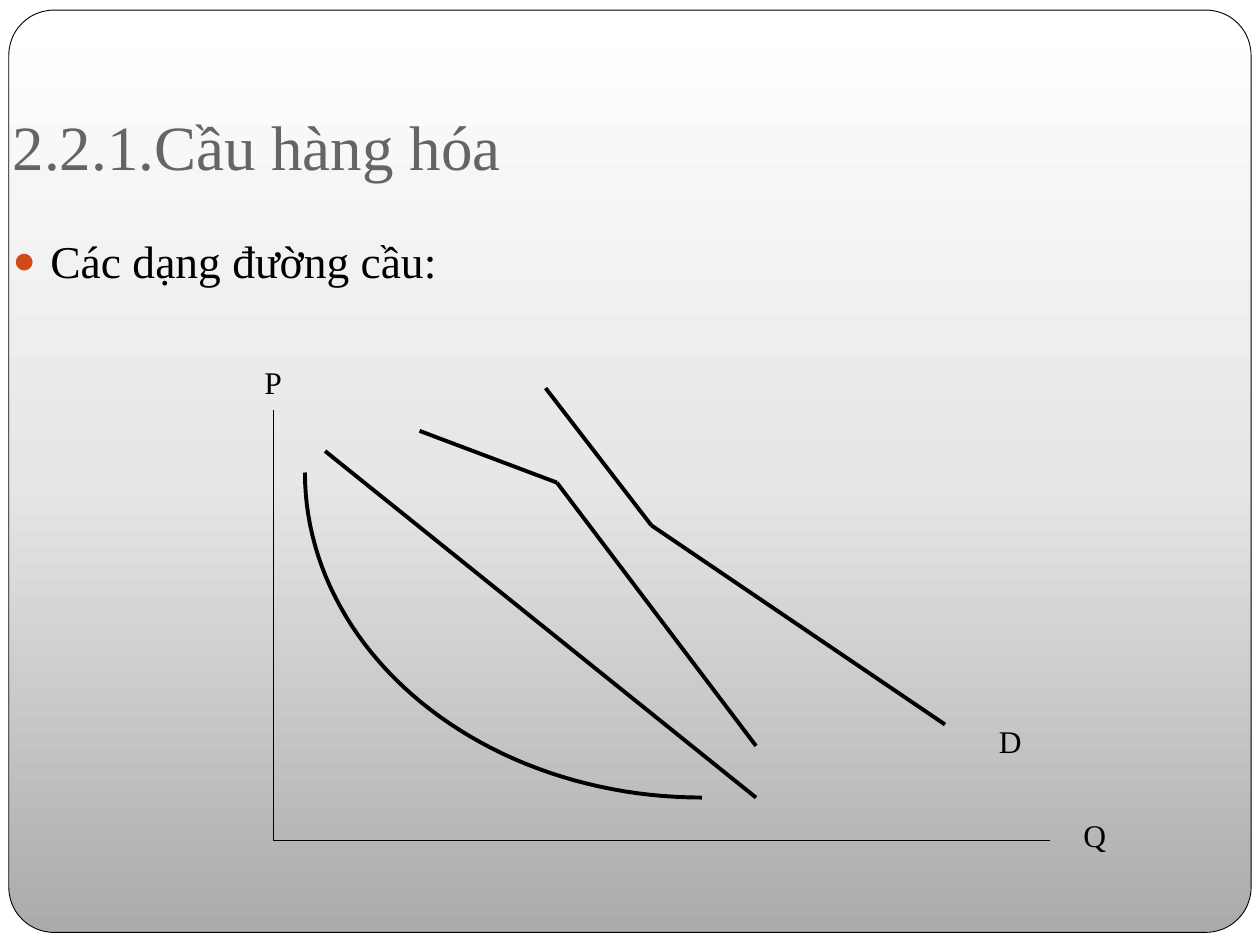
import copy
import math

from lxml import etree
from pptx import Presentation
from pptx.dml.color import RGBColor
from pptx.enum import shapes, text
from pptx.oxml.ns import qn
from pptx.util import Inches, Pt

FONT = "Times New Roman"
BLACK = RGBColor(0x00, 0x00, 0x00)
WHITE = RGBColor(0xFF, 0xFF, 0xFF)
TITLE_GRAY = RGBColor(0x69, 0x64, 0x64)
BULLET_ORANGE = RGBColor(0xD3, 0x48, 0x17)
PANEL_COLORS = [RGBColor(0xAB, 0xAB, 0xAB), RGBColor(0xE7, 0xE7, 0xE7), WHITE]
CURVE_WIDTH = 2.25


def place(sp, left, top, width, height):
    sp.left, sp.top = Inches(left), Inches(top)
    sp.width, sp.height = Inches(width), Inches(height)


def add_run(p, words, size, color):
    r = p.add_run()
    r.text = words
    r.font.name, r.font.size = FONT, Pt(size)
    r.font.color.rgb = color


def fill_gradient(fill, colors):
    """Spread the colours evenly from bottom to top."""
    fill.gradient()
    fill.gradient_angle = 90
    stops = fill._fill._gradFill.find(qn("a:gsLst"))
    while len(stops) < len(colors):
        stops.append(copy.deepcopy(stops[0]))
    for i, (stop, color) in enumerate(zip(fill.gradient_stops, colors)):
        stop.position = i / (len(colors) - 1)
        stop.color.rgb = color


def add_panel(slide, left, top, width, height):
    slide.background.fill.solid()
    slide.background.fill.fore_color.rgb = WHITE
    panel = slide.shapes.add_shape(
        shapes.MSO_SHAPE.ROUNDED_RECTANGLE,
        Inches(left), Inches(top), Inches(width), Inches(height))
    panel.adjustments[0] = 0.049
    panel.shadow.inherit = False
    fill_gradient(panel.fill, PANEL_COLORS)
    panel.line.color.rgb = BLACK
    panel.line.width = Pt(0.5)
    slide.shapes.title._element.addprevious(panel._element)


def fill_title(title, words, box):
    place(title, *box)
    tf = title.text_frame
    tf.auto_size = text.MSO_AUTO_SIZE.NONE
    tf.vertical_anchor = text.MSO_ANCHOR.BOTTOM
    tf.margin_bottom = Inches(0.1)
    p = tf.paragraphs[0]
    p.alignment = text.PP_ALIGN.LEFT
    add_run(p, words, 36, TITLE_GRAY)


def fill_body(body, words, box):
    place(body, *box)
    tf = body.text_frame
    tf.auto_size = text.MSO_AUTO_SIZE.NONE
    tf.margin_top = Inches(0.1)
    p = tf.paragraphs[0]
    p.space_before = Pt(0)
    pPr = p._p.get_or_add_pPr()
    pPr.set("marL", str(Inches(0.3)))
    pPr.set("indent", str(Inches(-0.3)))
    color = etree.SubElement(pPr, qn("a:buClr"))
    etree.SubElement(color, qn("a:srgbClr"), val=str(BULLET_ORANGE))
    etree.SubElement(pPr, qn("a:buSzPct"), val="85000")
    etree.SubElement(pPr, qn("a:buChar"), char="●")
    add_run(p, words, 26, BLACK)


def add_polyline(slide, points, width):
    """Join the points with straight connectors."""
    for start, end in zip(points, points[1:]):
        line = slide.shapes.add_connector(
            shapes.MSO_CONNECTOR.STRAIGHT, *map(Inches, start + end))
        line.line.color.rgb = BLACK
        line.line.width = Pt(width)
        etree.SubElement(line._element.spPr, qn("a:effectLst"))


def add_quarter_curve(slide, left, top, width, height, steps=48):
    """Draw the lower left quarter of an ellipse."""
    angles = [math.pi / 2 * i / steps for i in range(steps + 1)]
    points = [(Inches(left + width * (1 - math.cos(a))),
               Inches(top + height * math.sin(a))) for a in angles]
    builder = slide.shapes.build_freeform(*points[0])
    builder.add_line_segments(points[1:], close=False)
    curve = builder.convert_to_shape()
    curve.shadow.inherit = False
    curve.fill.background()
    curve.line.color.rgb = BLACK
    curve.line.width = Pt(CURVE_WIDTH)


def add_label(slide, words, left, top, width):
    box = slide.shapes.add_textbox(
        Inches(left), Inches(top), Inches(width), Inches(0.4))
    box.text_frame.word_wrap = True
    add_run(box.text_frame.paragraphs[0], words, 18, BLACK)


def add_demand_diagram(slide, left, top, width, height):
    """Draw the axes, the four demand curves and their labels in the box."""
    def at(*points):
        return [(left + x, top + y) for x, y in points]

    add_polyline(slide, at((0, 0), (0, height), (width, height)), 0.75)
    add_quarter_curve(slide, left + 0.25, top + 0.5, 3.15, 2.58)
    for curve in (
        at((0.41, 0.33), (3.83, 3.08)),
        at((1.16, 0.17), (2.25, 0.58), (3.83, 2.67)),
        at((2.16, -0.17), (3, 0.92), (5.33, 2.5)),
    ):
        add_polyline(slide, curve, CURVE_WIDTH)
    add_label(slide, "P", left - 0.17, top - 0.42, 0.5)
    add_label(slide, "Q", left + width + 0.17, top + height - 0.24, 0.5)
    add_label(slide, "D", left + 5.66, top + 2.43, 0.75)


def main():
    prs = Presentation()
    prs.slide_width, prs.slide_height = Inches(10), Inches(7.5)
    slide = prs.slides.add_slide(prs.slide_layouts[1])
    add_panel(slide, 0.07, 0.08, 9.86, 7.32)
    fill_title(slide.shapes.title, "2.2.1.Cầu hàng hóa", (0, 0.3, 9, 1.25))
    fill_body(slide.placeholders[1], "Các dạng đường cầu:", (0, 1.75, 9, 0.87))
    add_demand_diagram(slide, 2.17, 3.25, 6.16, 3.42)
    prs.save("out.pptx")


if __name__ == "__main__":
    main()
